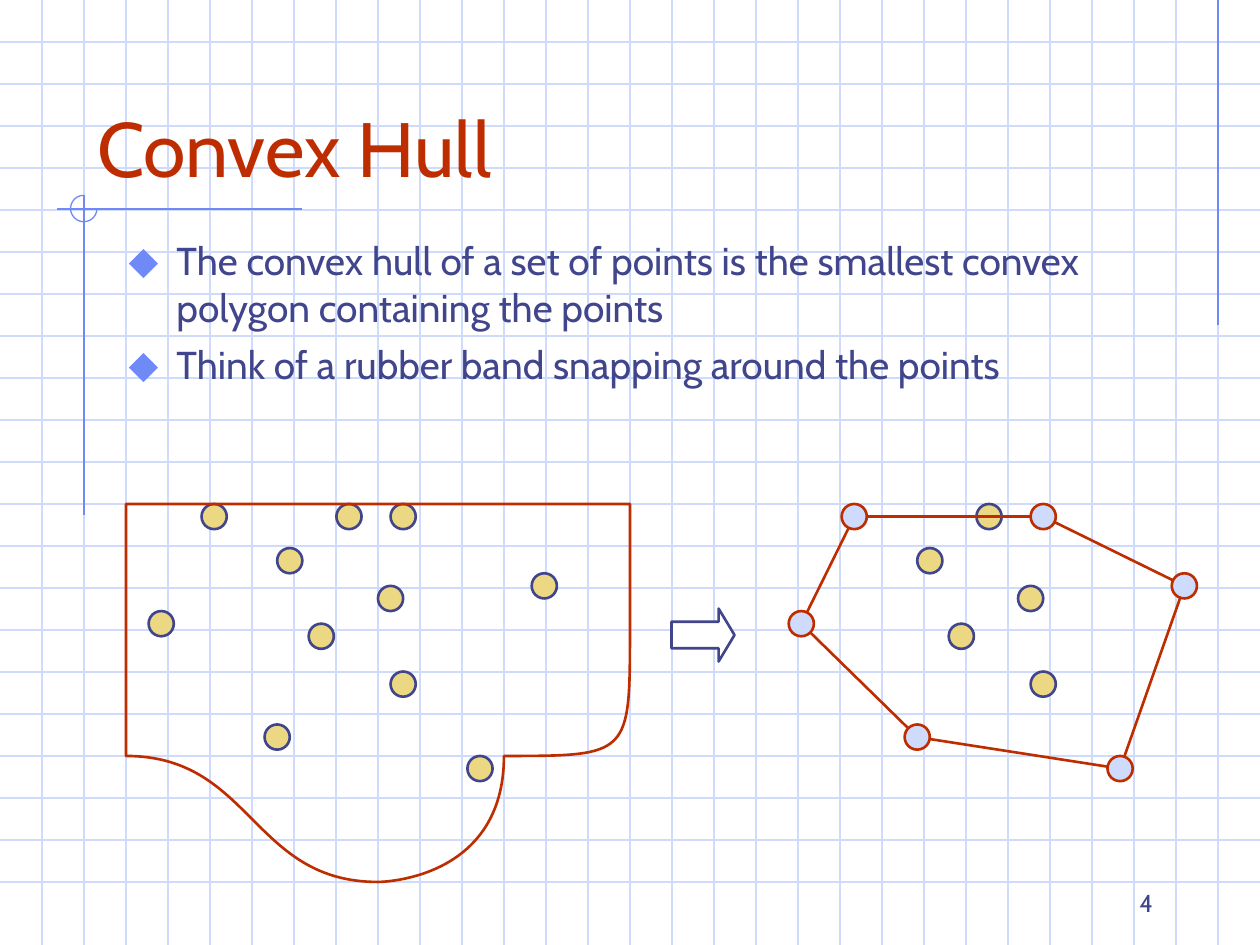
from lxml.etree import SubElement
from pptx import Presentation
from pptx.dml.color import RGBColor
from pptx.enum.shapes import MSO_CONNECTOR, MSO_SHAPE
from pptx.enum.text import MSO_ANCHOR, MSO_AUTO_SIZE, PP_ALIGN
from pptx.oxml.ns import qn
from pptx.util import Inches, Pt

COLORS = {"grid": "CFDBFD", "accent": "6F89F7", "red": "BE2D00",
          "navy": "40458C", "yellow": "ECD882", "white": "FFFFFF"}
FONT = "Cabin"
WIDTH, HEIGHT = 10, 7.5
CELL = 1 / 3
DOT = 0.2
RIGHT_SHIFT = 5.08

# Content
TITLE = "Convex Hull"
BULLETS = ["The convex hull of a set of points is the smallest convex polygon containing the points",
           "Think of a rubber band snapping around the points"]
PAGE_NUMBER = "4"

# Centres of the points in the left-hand figure; the hull runs in order
HULL = [(1.7, 4.1), (1.28, 4.95), (2.2, 5.85), (3.81, 6.1), (4.32, 4.65), (3.2, 4.1)]
ON_EDGE = (2.77, 4.1)
INNER = [(2.55, 5.05), (3.1, 4.75), (3.2, 5.43), (2.3, 4.45)]

# Rubber band: a start, then two control points and an end for each curve
BAND_START = (1.5, 3.75)
BAND_CURVES = [
    [(1.04, 3.88), (1.04, 4.08), (0.92, 4.33)],
    [(0.79, 4.58), (0.67, 4.94), (0.75, 5.25)],
    [(0.83, 5.56), (1.07, 5.94), (1.42, 6.17)],
    [(1.76, 6.39), (2.35, 6.56), (2.83, 6.58)],
    [(3.32, 6.61), (3.99, 6.56), (4.33, 6.33)],
    [(4.68, 6.11), (4.86, 5.61), (4.92, 5.25)],
    [(4.97, 4.89), (4.88, 4.42), (4.67, 4.17)],
    [(4.45, 3.92), (4.16, 3.82), (3.64, 3.75)],
    [(3.11, 3.68), (1.96, 3.63), (1.5, 3.75)],
]


def rgb(name):
    return RGBColor.from_string(COLORS[name])


def add_line(page, start, end, color, width=0.75):
    line = page.shapes.add_connector(
        MSO_CONNECTOR.STRAIGHT, *[Inches(v) for v in (*start, *end)])
    line.line.color.rgb = rgb(color)
    line.line.width = Pt(width)
    SubElement(line._element.spPr, qn("a:effectLst"))


def style_shape(shape, fill, color, width=1.5):
    shape.shadow.inherit = False
    if fill:
        shape.fill.solid()
        shape.fill.fore_color.rgb = rgb(fill)
    else:
        shape.fill.background()
    shape.line.color.rgb = rgb(color)
    shape.line.width = Pt(width)


def add_shape(page, kind, frame, fill, color, width=1.5):
    shape = page.shapes.add_shape(kind, *[Inches(v) for v in frame])
    style_shape(shape, fill, color, width)
    return shape


def add_dot(page, center, fill="yellow", color="navy"):
    x, y = center
    add_shape(page, MSO_SHAPE.OVAL, (x - DOT / 2, y - DOT / 2, DOT, DOT), fill, color)


def shifted(point):
    return point[0] + RIGHT_SHIFT, point[1]


def place(box, frame, anchor):
    box.left, box.top, box.width, box.height = [Inches(v) for v in frame]
    text = box.text_frame
    text.word_wrap = True
    text.auto_size = MSO_AUTO_SIZE.NONE
    text.vertical_anchor = anchor
    return text


def format_para(para, size, color, align):
    para.alignment = align
    para.space_before = Pt(0)
    for span in para.runs:
        span.font.name = FONT
        span.font.size = Pt(size)
        span.font.color.rgb = rgb(color)


def add_bullet(para):
    props = para._p.get_or_add_pPr()
    props.set("marL", str(Inches(0.38)))
    props.set("indent", str(-Inches(0.38)))
    SubElement(SubElement(props, qn("a:buClr")), qn("a:srgbClr"), val=COLORS["accent"])
    SubElement(props, qn("a:buSzPct"), val="110000")
    SubElement(props, qn("a:buFont"), typeface=FONT)
    SubElement(props, qn("a:buChar"), char="⬥")


def add_background(page):
    for row in range(1, round(HEIGHT / CELL)):
        add_line(page, (0, row * CELL), (WIDTH, row * CELL), "grid")
    for column in range(1, round(WIDTH / CELL)):
        add_line(page, (column * CELL, 0), (column * CELL, HEIGHT), "grid")
    # Accent rules and the three-quarter circle
    add_line(page, (29 * CELL, 0), (29 * CELL, 2.58), "accent")
    add_line(page, (2.4, 1.66), (0.45, 1.66), "accent")
    add_line(page, (2 * CELL, 1.55), (2 * CELL, 4.09), "accent")
    arc = add_shape(page, MSO_SHAPE.ARC, (0.56, 1.55, 0.21, 0.21), None, "accent", 0.75)
    arc.adjustments[0], arc.adjustments[1] = 0, 162  # 0 to 270 degrees


def add_text(page):
    title, body = page.shapes.title, page.placeholders[1]
    for box in (title, body):  # bring the text in front of the grid
        page.shapes.element.append(box.element)

    text = place(title, (0.67, 0.33, 8.5, 1.25), MSO_ANCHOR.BOTTOM)
    text.text = TITLE
    format_para(text.paragraphs[0], 44, "red", PP_ALIGN.LEFT)

    text = place(body, (0.92, 1.83, 8.5, 1.58), MSO_ANCHOR.TOP)
    text.text = "\n".join(BULLETS)
    for index, para in enumerate(text.paragraphs):
        add_bullet(para)
        format_para(para, 22.2, "navy", PP_ALIGN.LEFT)
        para.space_before = Pt(6 if index else 0)

    number = page.shapes.add_textbox(0, 0, 0, 0)
    text = place(number, (7.17, 6.83, 2.08, 0.5), MSO_ANCHOR.BOTTOM)
    text.text = PAGE_NUMBER
    format_para(text.paragraphs[0], 14, "navy", PP_ALIGN.RIGHT)


def add_band(page):
    builder = page.shapes.build_freeform(*BAND_START, scale=Inches(1))
    builder.add_line_segments([point for curve in BAND_CURVES for point in curve])
    band = builder.convert_to_shape()
    style_shape(band, None, "red")
    # Merge each three line segments into one cubic curve
    segments = list(band._element.iter(qn("a:lnTo")))
    outline = segments[0].getparent()
    for first in range(0, len(segments), 3):
        curve = outline.makeelement(qn("a:cubicBezTo"))
        segments[first].addprevious(curve)
        for segment in segments[first:first + 3]:
            curve.append(segment[0])
            outline.remove(segment)


def add_figures(page):
    # Right: the hull
    add_dot(page, shifted(ON_EDGE))
    for start, end in zip(HULL, HULL[1:] + HULL[:1]):
        add_line(page, shifted(start), shifted(end), "red", 1.5)
    for point in HULL:
        add_dot(page, shifted(point), "grid", "red")
    for point in INNER:
        add_dot(page, shifted(point))
    # Left: the points inside the rubber band
    for point in HULL + INNER + [ON_EDGE]:
        add_dot(page, point)
    add_band(page)
    arrow = add_shape(page, MSO_SHAPE.RIGHT_ARROW, (5.33, 4.83, 0.5, 0.42), "white", "navy")
    arrow.adjustments[0], arrow.adjustments[1] = 0.5, 0.3


def main():
    deck = Presentation()
    deck.slide_width, deck.slide_height = Inches(WIDTH), Inches(HEIGHT)
    page = deck.slides.add_slide(deck.slide_layouts[1])
    add_background(page)
    add_text(page)
    add_figures(page)
    deck.save("out.pptx")


if __name__ == "__main__":
    main()
